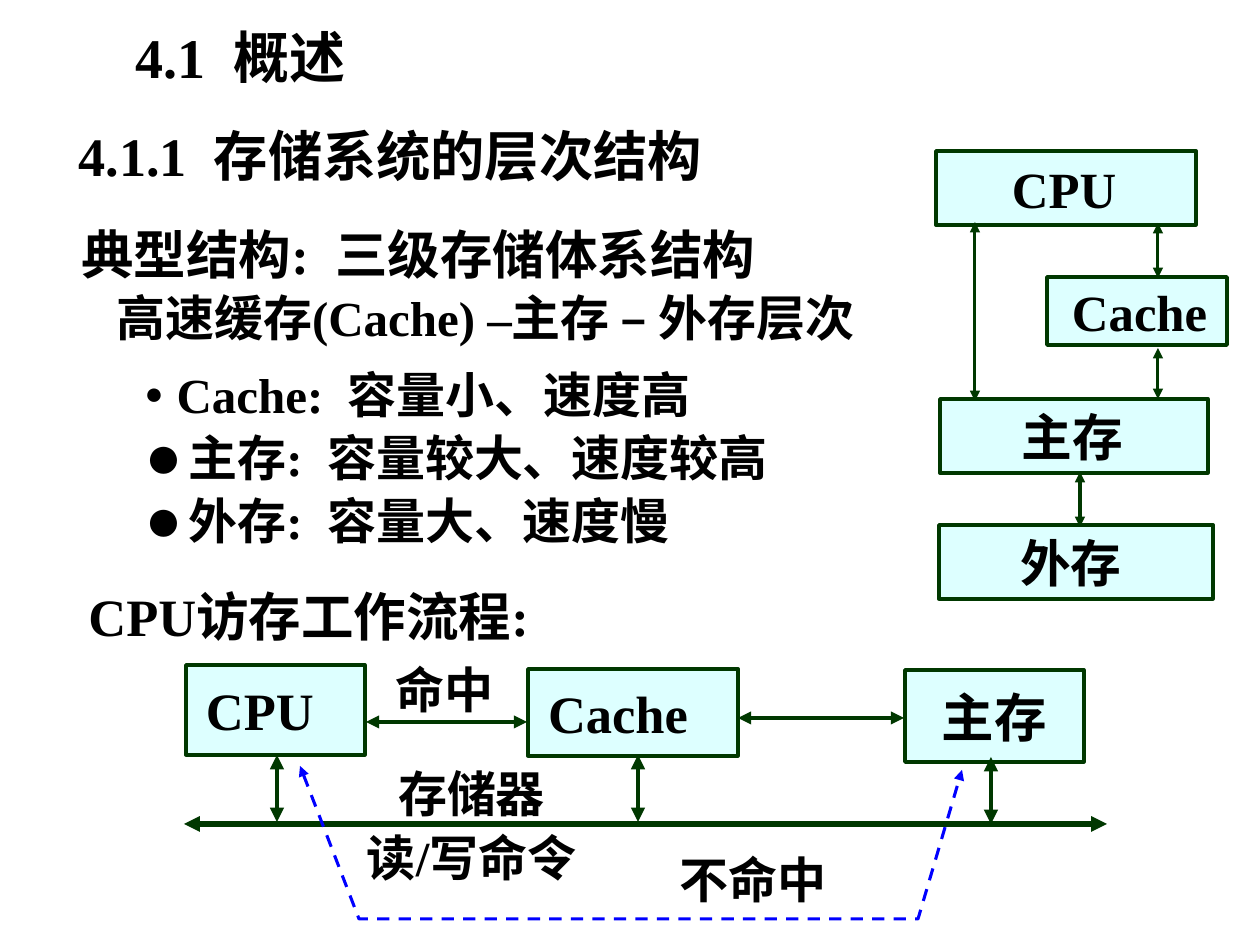
import pptx
import pptx.util
import pptx.dml.color
import pptx.enum.dml
import pptx.enum.shapes
import pptx.enum.text
import pptx.oxml.ns
import lxml.etree

PIXEL = 914400 // 126
BLACK = pptx.dml.color.RGBColor(0x00, 0x00, 0x00)
GREEN = pptx.dml.color.RGBColor(0x00, 0x38, 0x00)
CYAN = pptx.dml.color.RGBColor(0xDD, 0xFF, 0xFF)
BLUE = pptx.dml.color.RGBColor(0x00, 0x00, 0xFF)
ALIGN = pptx.enum.text.PP_ALIGN
ANCHOR = pptx.enum.text.MSO_ANCHOR


def write(box, lines, size, align=ALIGN.LEFT, spacing=None):
    frame = box.text_frame
    frame.word_wrap = True
    frame.auto_size = pptx.enum.text.MSO_AUTO_SIZE.NONE
    frame.vertical_anchor = ANCHOR.TOP if spacing else ANCHOR.MIDDLE
    frame.text = "\n".join(lines)
    for para in frame.paragraphs:
        para.alignment = align
        para.space_before = pptx.util.Pt(0)
        if spacing:
            para.line_spacing = pptx.util.Pt(spacing)
        para.font.name = "Times New Roman"
        para.font.size = pptx.util.Pt(size)
        para.font.bold = True
        para.font.color.rgb = BLACK
    return frame


def add_arrowheads(line):
    outline = line.get_or_add_ln() if hasattr(line, "get_or_add_ln") else line
    for end in ("a:headEnd", "a:tailEnd"):
        lxml.etree.SubElement(outline, pptx.oxml.ns.qn(end), type="triangle")


deck = pptx.Presentation()
deck.slide_width = pptx.util.Inches(10)
deck.slide_height = pptx.util.Inches(7.5)
page = deck.slides.add_slide(deck.slide_layouts[1])

title = page.shapes.title
levels = page.placeholders[1]
for holder, place in ((title, (123, 16, 321, 81)), (levels, (132, 354, 709, 202))):
    holder.left, holder.top, holder.width, holder.height = [n * PIXEL for n in place]
write(title, ["4.1  概述"], 32)
level_frame = write(
    levels,
    ["Cache:  容量小、速度高", "主存:  容量较大、速度较高", "外存:  容量大、速度慢"],
    28,
    spacing=36,
)
for para, indent, percent in zip(level_frame.paragraphs, (32, 44, 44), (64, 128, 128)):
    properties = para._p.get_or_add_pPr()
    properties.set("marL", str(indent * PIXEL))
    properties.set("indent", str(-indent * PIXEL))
    defaults = properties.find(pptx.oxml.ns.qn("a:defRPr"))
    for tag, name, value in (
        ("a:buSzPct", "val", str(percent * 1000)),
        ("a:buFont", "typeface", "Times New Roman"),
        ("a:buChar", "char", "●"),
    ):
        bullet = lxml.etree.Element(pptx.oxml.ns.qn(tag))
        bullet.set(name, value)
        defaults.addprevious(bullet)

labels = [
    ((66, 116, 766, 78), ["4.1.1  存储系统的层次结构"], 31, ALIGN.LEFT, None),
    ((69, 218, 929, 137), ["典型结构:  三级存储体系结构", "高速缓存(Cache) –主存 – 外存层次"], 30, ALIGN.LEFT, 35),
    ((76, 578, 509, 76), ["CPU访存工作流程:"], 30, ALIGN.LEFT, None),
    ((383, 653, 155, 72), ["命中"], 28, ALIGN.LEFT, None),
    ((341, 751, 261, 142), ["存储器", "读/写命令"], 28, ALIGN.CENTER, 37),
    ((667, 843, 231, 72), ["不命中"], 28, ALIGN.LEFT, None),
]
for place, lines, size, align, spacing in labels:
    box = page.shapes.add_textbox(*[n * PIXEL for n in place])
    frame = write(box, lines, size, align, spacing)
    if lines[0].startswith("典型"):
        cache_line = frame.paragraphs[1]
        cache_line.font.size = pptx.util.Pt(28)
        cache_line._p.get_or_add_pPr().set("marL", str(35 * PIXEL))

units = [
    ((936, 151, 260, 74), "CPU", 29, 76),
    ((1047, 277, 180, 68), "Cache", 29, 25),
    ((940, 399, 268, 74), "主存", 29, 82),
    ((939, 525, 274, 74), "外存", 29, 81),
    ((186, 665, 179, 90), "CPU", 30, 20),
    ((528, 669, 210, 87), "Cache", 30, 20),
    ((905, 670, 179, 92), "主存", 30, 37),
]
for place, name, size, inset in units:
    unit = page.shapes.add_shape(
        pptx.enum.shapes.MSO_SHAPE.RECTANGLE, *[n * PIXEL for n in place]
    )
    unit.shadow.inherit = False
    unit.fill.solid()
    unit.fill.fore_color.rgb = CYAN
    unit.line.color.rgb = GREEN
    unit.line.width = pptx.util.Pt(2)
    frame = write(unit, [name], size)
    frame.margin_left = inset * PIXEL
    frame.margin_right = 0

arrows = [
    (975, 222, 975, 401, 1.75),
    (1158, 223, 1158, 278, 1.75),
    (1158, 348, 1158, 399, 1.75),
    (1080, 472, 1080, 527, 1.75),
    (366, 722, 527, 722, 2.5),
    (738, 718, 904, 718, 2.5),
    (184, 824, 1107, 824, 3),
    (277, 755, 277, 822, 2.75),
    (638, 755, 638, 822, 2.75),
    (991, 757, 991, 824, 2.75),
]
for *ends, weight in arrows:
    arrow = page.shapes.add_connector(
        pptx.enum.shapes.MSO_CONNECTOR.STRAIGHT, *[n * PIXEL for n in ends]
    )
    arrow.line.color.rgb = GREEN
    arrow.line.width = pptx.util.Pt(weight)
    add_arrowheads(arrow._element.spPr)
    lxml.etree.SubElement(arrow._element.spPr, pptx.oxml.ns.qn("a:effectLst"))

builder = page.shapes.build_freeform(300, 766, scale=PIXEL)
builder.add_line_segments([(359, 919), (918, 919), (962, 770)], close=False)
miss_path = builder.convert_to_shape()
miss_path.shadow.inherit = False
miss_path.fill.background()
miss_path.line.color.rgb = BLUE
miss_path.line.width = pptx.util.Pt(1.75)
miss_path.line.dash_style = pptx.enum.dml.MSO_LINE.DASH
add_arrowheads(miss_path._element.spPr)

deck.save("out.pptx")
